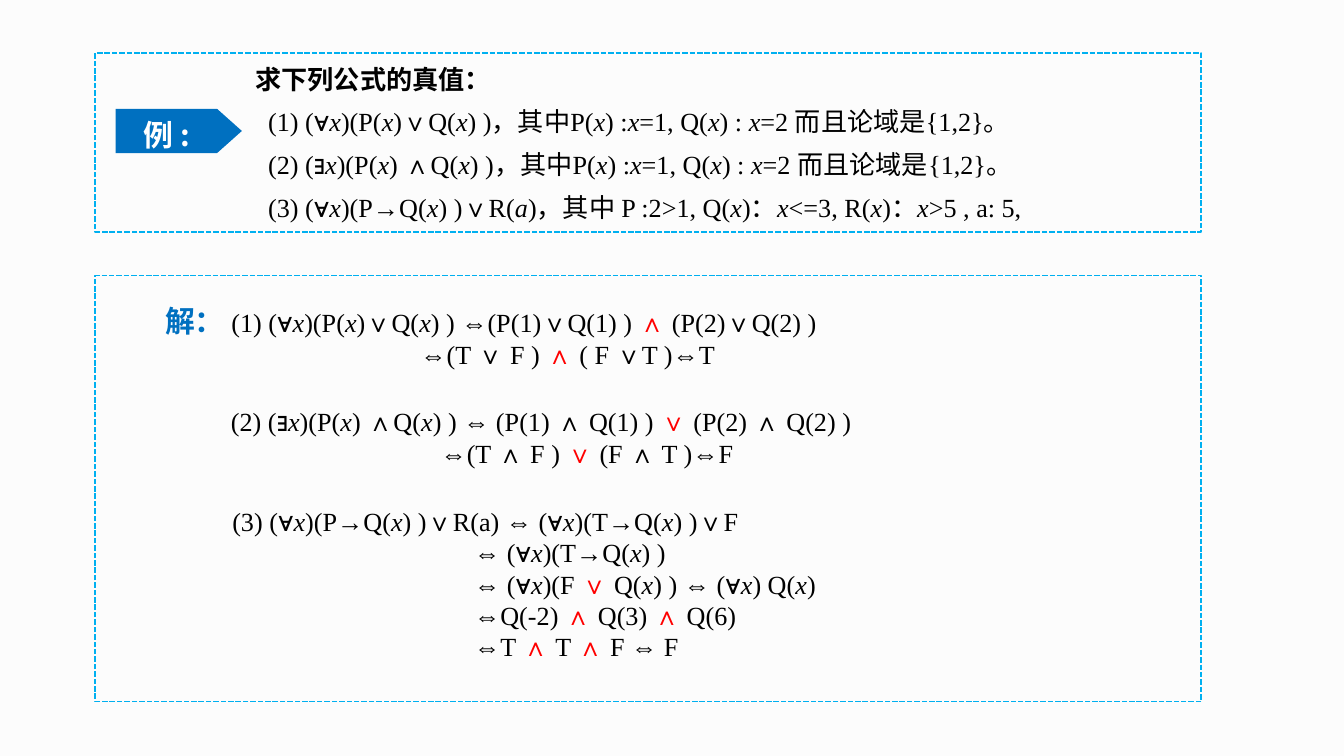
from dataclasses import dataclass, field

import pptx
import pptx.dml.color
import pptx.enum.dml
import pptx.enum.shapes
import pptx.enum.text
import pptx.util
from pptx.oxml.xmlchemy import OxmlElement

SLIDE_WIDTH = 10
SLIDE_HEIGHT = SLIDE_WIDTH * 9 / 16
COLUMNS = 100
ROWS = COLUMNS * 9 / 16


@dataclass(frozen=True)
class Theme:
    paper: str = "FCFCFC"
    ink: str = "000000"
    tag_ink: str = "FFFFFF"
    accent: str = "0070C0"
    frame: str = "00B0F0"
    connective: str = "FF0000"
    serif: str = "Times New Roman"
    sans: str = "Noto Sans CJK SC"
    text_size: int = 14
    label_size: int = 16


THEME = Theme()
PLAIN = {"size": THEME.text_size, "name": THEME.serif, "color": THEME.ink,
         "bold": False, "italic": False}
# Letter that opens a marked span: "|cP|" sets P in the style of "c".
STYLES = {
    "i": PLAIN | {"italic": True},
    "c": PLAIN | {"color": THEME.connective, "bold": True},
    "h": PLAIN | {"bold": True},
    "s": PLAIN | {"size": THEME.label_size, "color": THEME.accent, "bold": True},
    "t": PLAIN | {"size": THEME.label_size, "name": THEME.sans,
                  "color": THEME.tag_ink, "bold": True},
}


@dataclass(frozen=True)
class Area:
    """A place on the grid, in columns and rows."""
    column: float
    row: float
    columns: float
    rows: float


@dataclass(frozen=True)
class Solution:
    area: Area
    indent: float
    lines: list[str] = field(default_factory=list)


FRAMES = [Area(7.1, 3.95, 82.3, 13.3), Area(7.1, 20.5, 82.3, 31.7)]
TAG = Area(8.6, 8.1, 9.4, 3.3)
HEADING = Area(18, 4.2, 65.7, 3.3)
PROBLEM_LIST = Area(18.95, 7.37, 64.75, 9.75)
PROBLEMS = [
    "(1) (∀x)(P(x)∨Q(x) )，其中P(x) :x=1, Q(x) : x=2 而且论域是{1,2}。",
    "(2) (∃x)(P(x) ∧Q(x) )，其中P(x) :x=1, Q(x) : x=2 而且论域是{1,2}。",
    "(3) (∀x)(P→Q(x) )∨R(|ia|)，其中 P :2>1, Q(x)：x<=3, R(x)：x>5 , a: 5,",
]
SOLUTIONS = [
    Solution(Area(11.3, 22, 77.3, 6.1), 19, [
        "|s解： |(1) (∀x)(P(x)∨Q(x) ) ⇔(P(1)∨Q(1) ) |c∧ |(P(2)∨Q(2) )",
        "⇔(T ∨ F ) |c∧ |( F ∨T )⇔T",
    ]),
    Solution(Area(16.2, 29.7, 56.1, 5.7), 15.6, [
        "(2) (∃x)(P(x) ∧Q(x) ) ⇔ (P(1) ∧ Q(1) ) |c∨| (P(2) ∧ Q(2) )",
        "⇔(T ∧ F ) |c∨ |(F ∧ T )⇔F",
    ]),
    Solution(Area(16.3, 37.1, 70.5, 12.8), 18, [
        "(3) (∀x)(P→Q(x) )∨R(a) ⇔ (∀x)(T→Q(x) )∨F",
        "⇔ (∀x)(T→Q(x) )",
        "⇔ (∀x)(F |c∨| Q(x) ) ⇔ (∀x) Q(x)",
        "⇔Q(-2) |c∧ |Q(3) |c∧ |Q(6)",
        "⇔T |c∧ |T |c∧ |F ⇔ F",
    ]),
]


def across(columns: float) -> int:
    return pptx.util.Inches(columns * SLIDE_WIDTH / COLUMNS)


def down(rows: float) -> int:
    return pptx.util.Inches(rows * SLIDE_HEIGHT / ROWS)


def bounds(area: Area) -> tuple[int, int, int, int]:
    return (across(area.column), down(area.row),
            across(area.columns), down(area.rows))


def rgb(value: str):
    return pptx.dml.color.RGBColor.from_string(value)


def write(para, text: str) -> None:
    """Fill a paragraph with spans; every x is an italic variable."""
    for number, piece in enumerate(text.replace("x", "|ix|").split("|")):
        marked = number % 2 == 1
        style = STYLES[piece[0]] if marked else PLAIN
        content = piece[1:] if marked else piece
        if not content:
            continue
        span = para.add_run()
        span.text = content
        values = style | {"size": pptx.util.Pt(style["size"])}
        span.font.color.rgb = rgb(values.pop("color"))
        for name, value in values.items():
            setattr(span.font, name, value)


def write_lines(frame, lines: list[str], indent: float = 0, gap: float = 0) -> None:
    """Write one paragraph a line, indenting and spacing all but the first."""
    frame.word_wrap = True
    frame.auto_size = pptx.enum.text.MSO_AUTO_SIZE.NONE
    frame.vertical_anchor = pptx.enum.text.MSO_ANCHOR.TOP
    for number, line in enumerate(lines):
        para = frame.add_paragraph() if number else frame.paragraphs[0]
        properties = para._p.get_or_add_pPr()
        properties.set("marL", str(across(indent) if number else 0))
        properties.set("indent", "0")
        properties.append(OxmlElement("a:buNone"))
        para.alignment = pptx.enum.text.PP_ALIGN.LEFT
        para.space_before = pptx.util.Pt(gap if number else 0)
        write(para, line)


def fill_placeholder(box, area: Area, lines: list[str], gap: float = 0) -> None:
    box.left, box.top, box.width, box.height = bounds(area)
    write_lines(box.text_frame, lines, gap=gap)


def add_frame(page, area: Area) -> None:
    box = page.shapes.add_shape(
        pptx.enum.shapes.MSO_SHAPE.RECTANGLE, *bounds(area))
    box.shadow.inherit = False
    box.fill.background()
    box.line.color.rgb = rgb(THEME.frame)
    box.line.width = pptx.util.Pt(1)
    box.line.dash_style = pptx.enum.dml.MSO_LINE.SQUARE_DOT


def add_tag(page, area: Area, text: str) -> None:
    box = page.shapes.add_shape(
        pptx.enum.shapes.MSO_SHAPE.PENTAGON, *bounds(area))
    box.adjustments[0] = 0.56
    box.shadow.inherit = False
    box.fill.solid()
    box.fill.fore_color.rgb = rgb(THEME.accent)
    box.line.fill.background()
    box.text_frame.margin_right = across(1.8)
    box.text_frame.vertical_anchor = pptx.enum.text.MSO_ANCHOR.MIDDLE
    para = box.text_frame.paragraphs[0]
    para.alignment = pptx.enum.text.PP_ALIGN.CENTER
    para.line_spacing = 1.2
    write(para, text)


def add_solution(page, solution: Solution) -> None:
    box = page.shapes.add_textbox(*bounds(solution.area))
    write_lines(box.text_frame, solution.lines, solution.indent)


def main() -> None:
    deck = pptx.Presentation()
    deck.slide_width = pptx.util.Inches(SLIDE_WIDTH)
    deck.slide_height = pptx.util.Inches(SLIDE_HEIGHT)
    page = deck.slides.add_slide(deck.slide_layouts[1])
    page.background.fill.solid()
    page.background.fill.fore_color.rgb = rgb(THEME.paper)

    add_tag(page, TAG, "|t例 :|")
    for area in FRAMES:
        add_frame(page, area)
    fill_placeholder(page.shapes.title, HEADING, ["|h求下列公式的真值：|"])
    fill_placeholder(page.placeholders[1], PROBLEM_LIST, PROBLEMS, gap=6)
    for solution in SOLUTIONS:
        add_solution(page, solution)
    deck.save("out.pptx")


if __name__ == "__main__":
    main()
